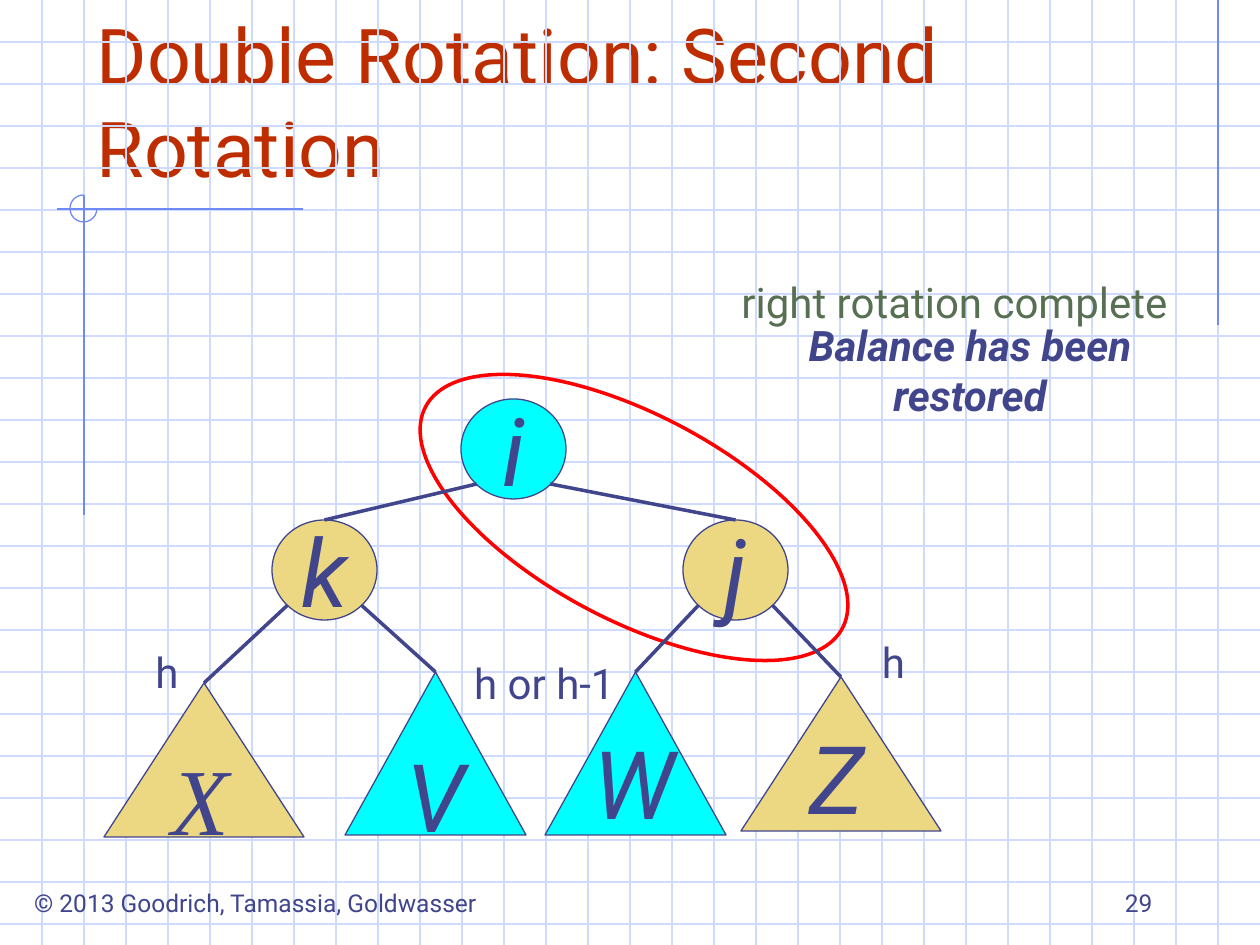
from lxml import etree
from pptx import Presentation
from pptx import util as u
from pptx.dml.color import RGBColor
from pptx.enum import shapes, text
from pptx.oxml import ns

PX = 914400 / 126  # EMU in one px
WIDTH, HEIGHT, GRID = 1260, 945, 42
INK, SAND, CYAN = "40458C", "ECD882", "00FFFF"
PALE, BLUE = "CFDBFD", "6F89F7"
rgb = RGBColor.from_string
LEFT, CENTER, RIGHT = text.PP_ALIGN.LEFT, text.PP_ALIGN.CENTER, text.PP_ALIGN.RIGHT
TOP, MIDDLE, BOTTOM = text.MSO_ANCHOR.TOP, text.MSO_ANCHOR.MIDDLE, text.MSO_ANCHOR.BOTTOM

prs = Presentation()
prs.slide_width, prs.slide_height = round(WIDTH * PX), round(HEIGHT * PX)
slide = prs.slides.add_slide(prs.slide_layouts[5])
items = slide.shapes


def draw_line(x1, y1, x2, y2, color, points=0.75):
    ends = [round(v * PX) for v in (x1, y1, x2, y2)]
    line = items.add_connector(shapes.MSO_CONNECTOR.STRAIGHT, *ends)
    line.line.color.rgb = rgb(color)
    line.line.width = u.Pt(points)
    etree.SubElement(line._element.spPr, ns.qn("a:effectLst"))
    return line


def write(holder, words, size, color=INK, align=CENTER, anchor=TOP, wrap=False,
          font="Roboto", bold=False, italic=False):
    frame = holder.text_frame
    frame.text = words
    frame.auto_size = text.MSO_AUTO_SIZE.NONE
    frame.word_wrap = wrap
    frame.vertical_anchor = anchor
    paragraph = frame.paragraphs[0]
    paragraph.alignment = align
    paragraph.font.name = font
    paragraph.font.size = u.Pt(size)
    paragraph.font.bold = bold
    paragraph.font.italic = italic
    paragraph.font.color.rgb = rgb(color)


# Graph paper
for y in range(GRID, HEIGHT, GRID):
    draw_line(0, y, WIDTH, y, PALE)
for x in range(GRID, WIDTH, GRID):
    draw_line(x, 0, x, HEIGHT, PALE)

# Margin rules with their three-quarter circle
draw_line(1218, 0, 1218, 325, BLUE)
draw_line(57, 209, 303, 209, BLUE)
draw_line(84, 195, 84, 515, BLUE)
corner = items.add_shape(shapes.MSO_SHAPE.ARC, *[round(v * PX) for v in (70, 195, 27, 27)])
corner.adjustments[0], corner.adjustments[1] = 0, 162
corner.shadow.inherit = False
corner.fill.background()
corner.line.color.rgb = rgb(BLUE)
corner.line.width = u.Pt(0.75)

# Title
title = items.title
title.left, title.top, title.width, title.height = [
    round(v * PX) for v in (84, 42, 1071, 157)]
write(title, "Double Rotation: Second Rotation", 44, "BE2D00", LEFT, BOTTOM, True)

# Tree nodes, subtrees and the ring round the rotated pair
OVAL, TRIANGLE = shapes.MSO_SHAPE.OVAL, shapes.MSO_SHAPE.ISOSCELES_TRIANGLE
tree = {}
for name, kind, box, fill, outline, points in [
    ("j", OVAL, (683, 520, 105, 100), SAND, INK, 0.75),
    ("k", OVAL, (272, 520, 105, 100), SAND, INK, 0.75),
    ("i", OVAL, (461, 399, 105, 100), CYAN, INK, 0.75),
    ("X", TRIANGLE, (104, 683, 200, 154), SAND, INK, 0.75),
    ("V", TRIANGLE, (345, 672, 181, 163), CYAN, INK, 0.75),
    ("W", TRIANGLE, (545, 672, 181, 163), CYAN, INK, 0.75),
    ("Z", TRIANGLE, (741, 677, 200, 154), SAND, INK, 0.75),
    ("ring", OVAL, (398, 415, 472, 205), None, "FF0000", 2),
]:
    part = items.add_shape(kind, *[round(v * PX) for v in box])
    part.shadow.inherit = False
    if fill:
        part.fill.solid()
        part.fill.fore_color.rgb = rgb(fill)
    else:
        part.fill.background()
    part.line.color.rgb = rgb(outline)
    part.line.width = u.Pt(points)
    tree[name] = part
tree["ring"].rotation = 28
for name in "jkiV":
    write(tree[name], name, 54, anchor=MIDDLE, italic=True)

# Edges leave a parent at its lower left or right and end on the child's top
for parent, left_child, right_child in ["ikj", "kXV", "jWZ"]:
    node = tree[parent]
    y = (node.top + 0.85 * node.height) / PX
    for child, share in [(left_child, 0.15), (right_child, 0.85)]:
        x = (node.left + share * node.width) / PX
        edge = draw_line(x, y, x, y, INK, 2)
        edge.end_connect(tree[child], 0)

# Letters, labels, remarks and footer
for words, box, size, style in [
    ("X", (168, 735, 64, 126), 54, dict(italic=True, font="Times New Roman")),
    ("W", (602, 719, 64, 126), 54, dict(italic=True)),
    ("Z", (805, 714, 64, 126), 54, dict(italic=True)),
    ("h", (142, 640, 50, 63), 24, {}),
    ("h", (871, 630, 45, 63), 24, {}),
    ("h or h-1", (455, 651, 179, 63), 24, {}),
    ("right rotation complete", (712, 270, 485, 63), 24, dict(color="577052")),
    ("Balance has been restored", (733, 313, 474, 113), 24,
     dict(anchor=MIDDLE, wrap=True, bold=True, italic=True)),
    ("© 2013 Goodrich, Tamassia, Goldwasser", (11, 882, 489, 43), 14, {}),
    ("29", (903, 861, 262, 63), 14, dict(align=RIGHT, anchor=BOTTOM, wrap=True)),
]:
    write(items.add_textbox(*[round(v * PX) for v in box]), words, size, **style)

prs.save("out.pptx")
